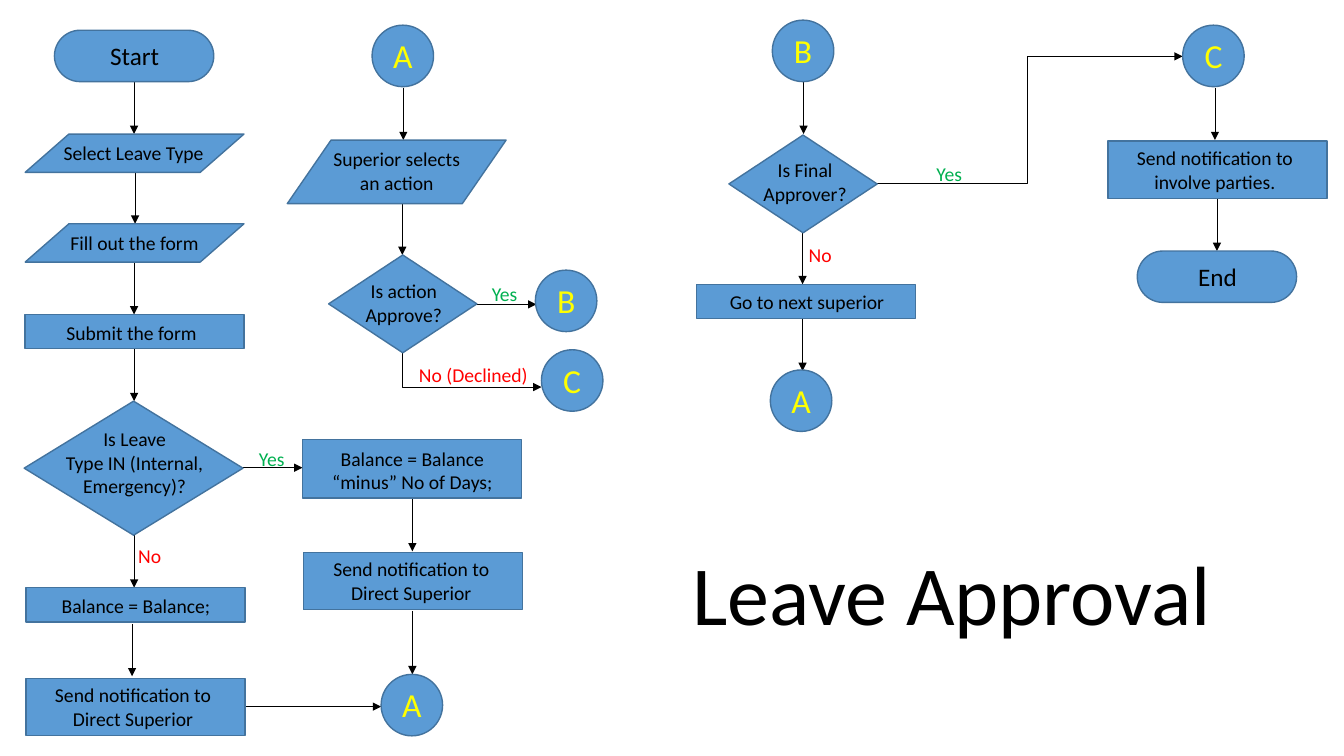
from lxml import etree
from pptx import Presentation
from pptx.dml.color import RGBColor
from pptx.enum.shapes import MSO_CONNECTOR, MSO_SHAPE
from pptx.enum.text import MSO_ANCHOR, MSO_AUTO_SIZE, PP_ALIGN
from pptx.oxml.ns import qn
from pptx.util import Inches, Pt

PROCESS = MSO_SHAPE.FLOWCHART_PROCESS
DATA = MSO_SHAPE.FLOWCHART_DATA
DECISION = MSO_SHAPE.FLOWCHART_DECISION
TERMINATOR = MSO_SHAPE.FLOWCHART_TERMINATOR
CIRCLE = MSO_SHAPE.FLOWCHART_CONNECTOR
STRAIGHT = MSO_CONNECTOR.STRAIGHT
ELBOW = MSO_CONNECTOR.ELBOW
CENTER = PP_ALIGN.CENTER
BOTTOM = MSO_ANCHOR.BOTTOM
GROW = MSO_AUTO_SIZE.SHAPE_TO_FIT_TEXT

FONT = "Calibri"
BLUE, OUTLINE, BLACK = "5B9BD5", "43739E", "000000"
YELLOW, GREEN, RED = "FFFF00", "00B050", "FF0000"
STEP_WIDTH, CIRCLE_SIZE, LABEL_WIDTH = 2.17, 0.61, 1.59

# kind, shape (left, top, width, height), caption (left, top, width), paragraphs
STEPS = [
    (DATA, (0.25, 1.33, STEP_WIDTH, 0.38), (0.53, 1.35, 1.59), ["Select Leave Type"]),
    (DATA, (0.25, 2.22, STEP_WIDTH, 0.38), (0.54, 2.24, 1.59), ["Fill out the form"]),
    (PROCESS, (0.25, 3.12, STEP_WIDTH, 0.34), (0.51, 3.13, 1.59), ["Submit the form"]),
    (DECISION, (0.24, 3.98, STEP_WIDTH, 1.33), (0.54, 4.19, 1.59),
     ["Is Leave", "Type IN (Internal, Emergency)?"]),
    (PROCESS, (0.26, 5.83, STEP_WIDTH, 0.34), (0.31, 5.84, 2.08), ["Balance = Balance;"]),
    (PROCESS, (0.26, 6.73, STEP_WIDTH, 0.57), (0.28, 6.73, 2.08),
     ["Send notification to Direct Superior"]),
    (PROCESS, (3, 4.36, STEP_WIDTH, 0.58), (3.05, 4.38, 2.08),
     ["Balance = Balance “minus” No of Days;"]),
    (PROCESS, (3.01, 5.48, STEP_WIDTH, 0.57), (3.04, 5.48, 2.08),
     ["Send notification to Direct Superior"]),
    (DATA, (2.85, 1.39, STEP_WIDTH, 0.63), (3.14, 1.41, 1.59), ["Superior selects an action"]),
    (DECISION, (3.26, 2.53, 1.47, 0.97), (3.21, 2.72, 1.59), ["Is action Approve?"]),
    (DECISION, (7.23, 1.34, 1.47, 0.97), (7.19, 1.52, 1.59), ["Is Final", "Approver?"]),
    (PROCESS, (6.91, 2.82, STEP_WIDTH, 0.34), (7.04, 2.83, 1.93), ["Go to next superior"]),
    (PROCESS, (10.99, 1.4, STEP_WIDTH, 0.57), (11.01, 1.4, 2.08),
     ["Send notification to involve parties."]),
]
TERMINALS = [("Start", 0.54, 0.3), ("End", 11.28, 2.49)]
JUMPS = [
    ("A", 3.69, 0.25), ("A", 3.78, 6.69), ("A", 7.64, 3.67), ("B", 5.31, 2.68),
    ("B", 7.66, 0.2), ("C", 5.37, 3.47), ("C", 11.73, 0.25),
]
DOWN_ARROWS = [
    (1.33, 0.81, 1.33), (1.34, 1.7, 2.22), (1.33, 2.6, 3.12), (1.33, 3.46, 3.98),
    (1.33, 5.31, 5.83), (1.31, 6.19, 6.71), (4.09, 4.95, 5.47), (4.09, 6.06, 6.69),
    (4, 0.87, 1.39), (3.99, 2.01, 2.53), (7.97, 0.81, 1.33), (7.96, 2.3, 2.82),
    (7.96, 3.16, 3.68), (12.05, 0.87, 1.39), (12.07, 1.97, 2.49),
]
RIGHT_ARROWS = [(2.41, 3, 4.64), (2.43, 3.78, 7.01), (4.73, 5.32, 3.02)]
ANSWERS = [
    ("Yes", GREEN, 1.9, 4.38), ("Yes", GREEN, 4.21, 2.75), ("Yes", GREEN, 8.62, 1.56),
    ("No", RED, 0.69, 5.35), ("No", RED, 7.34, 2.36), ("No (Declined)", RED, 3.9, 3.55),
]


def color(value):
    return RGBColor.from_string(value)


def add_text(page, left, top, width, height, lines, size=14, ink=BLACK):
    box = page.shapes.add_textbox(Inches(left), Inches(top), Inches(width), Inches(height))
    frame = box.text_frame
    frame.word_wrap = True
    frame.auto_size = GROW
    for index, line in enumerate(lines):
        para = frame.paragraphs[0] if index == 0 else frame.add_paragraph()
        para.alignment = CENTER
        span = para.add_run()
        span.text = line
        span.font.name = FONT
        span.font.size = Pt(size)
        span.font.color.rgb = color(ink)
    return frame


def add_node(page, kind, left, top, width, height):
    node = page.shapes.add_shape(kind, Inches(left), Inches(top), Inches(width), Inches(height))
    node.shadow.inherit = False
    node.fill.solid()
    node.fill.fore_color.rgb = color(BLUE)
    node.line.color.rgb = color(OUTLINE)
    node.line.width = Pt(1)


def add_step(page, kind, place, caption, lines):
    add_node(page, kind, *place)
    height = {PROCESS: place[3], DATA: place[3], DECISION: 0.57}[kind]
    add_text(page, *caption, height if len(lines) == 1 else 0.57, lines)


def add_terminal(page, name, left, top):
    add_node(page, TERMINATOR, left, top, 1.58, 0.51)
    add_text(page, left + 0.23, top + 0.05, 1.13, 0.4, [name], 18)


def add_jump(page, letter, left, top):
    add_node(page, CIRCLE, left, top, CIRCLE_SIZE, CIRCLE_SIZE)
    text_left = left + (CIRCLE_SIZE - LABEL_WIDTH) / 2
    add_text(page, text_left, top + 0.05, LABEL_WIDTH, 0.5, [letter], 24, YELLOW)


def add_arrow(page, x1, y1, x2, y2, kind=STRAIGHT):
    arrow = page.shapes.add_connector(kind, Inches(x1), Inches(y1), Inches(x2), Inches(y2))
    arrow.line.color.rgb = color(BLACK)
    arrow.line.width = Pt(0.5)
    etree.SubElement(arrow.line._get_or_add_ln(), qn("a:tailEnd"), type="triangle")
    etree.SubElement(arrow._element.spPr, qn("a:effectLst"))
    return arrow


def add_corner_arrow(page, x1, y1, x2, y2):
    middle_x, middle_y = (x1 + x2) / 2, (y1 + y2) / 2
    half_width, half_height = (y2 - y1) / 2, (x2 - x1) / 2
    arrow = add_arrow(page, middle_x + half_width, middle_y - half_height,
                      middle_x - half_width, middle_y + half_height, ELBOW)
    properties = arrow._element.spPr
    properties.find(qn("a:xfrm")).set("rot", str(270 * 60000))
    properties.find(qn("a:prstGeom")).set("prst", "bentConnector2")


def add_title(page):
    frame = add_text(page, 5.64, 4.98, 7.6, 1.45, ["Leave Approval"], 60)
    frame.auto_size = MSO_AUTO_SIZE.NONE
    frame.vertical_anchor = BOTTOM
    frame.paragraphs[0].line_spacing = 0.9


def main():
    deck = Presentation()
    deck.slide_width, deck.slide_height = Inches(13.33), Inches(7.5)
    page = deck.slides.add_slide(deck.slide_layouts[6])
    for x, top, bottom in DOWN_ARROWS:
        add_arrow(page, x, top, x, bottom)
    for left, right, y in RIGHT_ARROWS:
        add_arrow(page, left, y, right, y)
    add_arrow(page, 8.64, 1.82, 11.73, 0.56, ELBOW)
    add_corner_arrow(page, 3.99, 3.5, 5.37, 3.84)
    for step in STEPS:
        add_step(page, *step)
    for terminal in TERMINALS:
        add_terminal(page, *terminal)
    for jump in JUMPS:
        add_jump(page, *jump)
    for answer, ink, left, top in ANSWERS:
        add_text(page, left, top, LABEL_WIDTH, 0.34, [answer], 14, ink)
    add_title(page)
    deck.save("out.pptx")


main()
